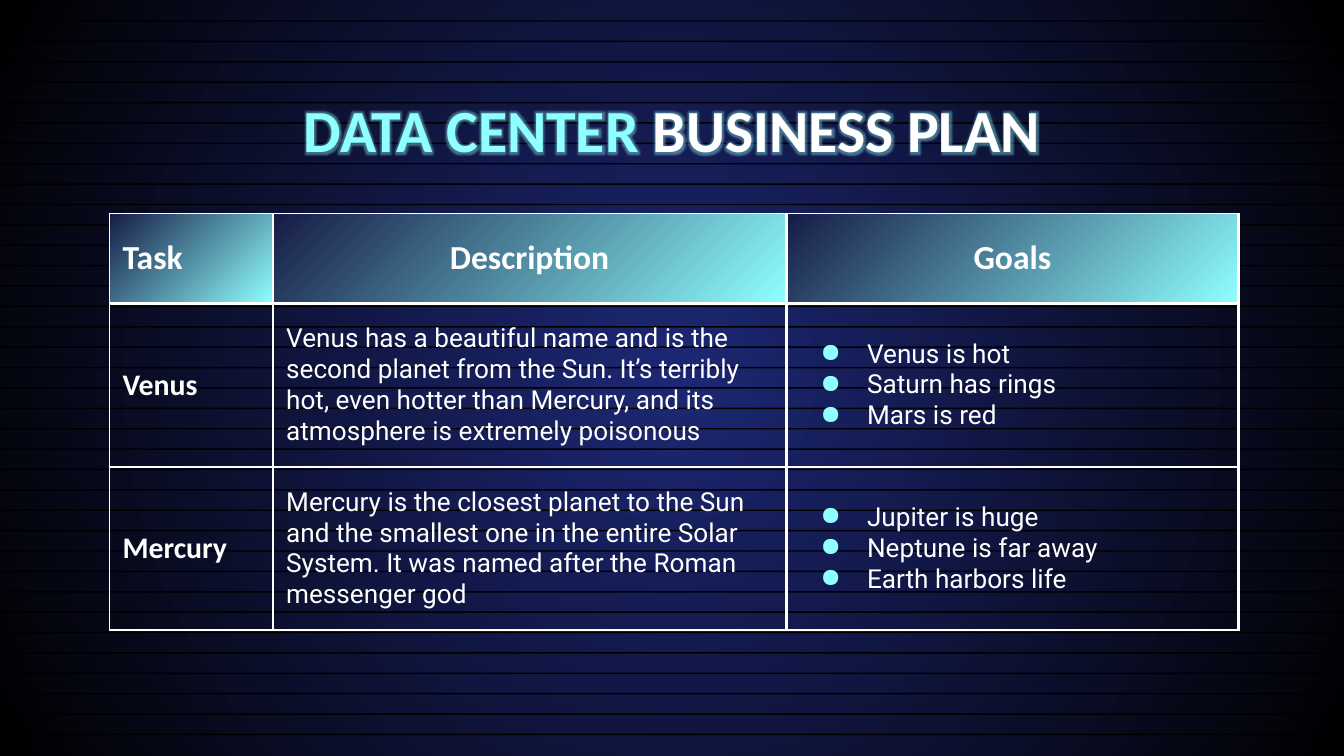
"""Build the data center business plan slide with its task table."""
import pptx
import pptx.dml.color
import pptx.enum.shapes
import pptx.enum.text
import pptx.oxml
import pptx.oxml.ns
import pptx.util

Pt = pptx.util.Pt
RGBColor = pptx.dml.color.RGBColor
qn = pptx.oxml.ns.qn
CENTER = pptx.enum.text.PP_ALIGN.CENTER

BLACK = RGBColor(0, 0, 0)
WHITE = RGBColor(0xFF, 0xFF, 0xFF)
CYAN = RGBColor(0x8F, 0xFF, 0xFF)
BLUE = RGBColor(0x1D, 0x28, 0x75)
NAVY = RGBColor(0x15, 0x1B, 0x46)
INSET = Pt(7.2)


def parse_drawing(tag, attributes, content=""):
    namespace = pptx.oxml.ns.nsdecls("a")
    return pptx.oxml.parse_xml(f"<a:{tag} {namespace} {attributes}>{content}</a:{tag}>")


def set_gradient(fill, start, end):
    fill.gradient()
    for stop, color in zip(fill.gradient_stops, (start, end)):
        stop.color.rgb = color


presentation = pptx.Presentation()
presentation.slide_width = Pt(720)
presentation.slide_height = Pt(405)
slide = presentation.slides.add_slide(presentation.slide_layouts[6])

set_gradient(slide.background.fill, BLUE, BLACK)
background_gradient = slide.element.find(".//" + qn("a:gradFill"))
background_gradient.replace(
    background_gradient.find(qn("a:lin")),
    parse_drawing("path", 'path="circle"', '<a:fillToRect l="50000" t="50000" r="50000" b="50000"/>'),
)

for number in range(1, 37):
    scan_line = slide.shapes.add_shape(
        pptx.enum.shapes.MSO_SHAPE.RECTANGLE, 0, Pt(10.92 * number), Pt(720), Pt(0.8))
    scan_line.shadow.inherit = False
    scan_line.fill.solid()
    scan_line.fill.fore_color.rgb = BLACK
    scan_line.line.fill.background()

title = slide.shapes.add_textbox(Pt(56), Pt(42.5), Pt(608), Pt(45)).text_frame
title.word_wrap = True
title.margin_left = title.margin_right = title.margin_top = title.margin_bottom = INSET
heading = title.paragraphs[0]
heading.alignment = CENTER
heading.font.name = "Calibri"
heading.font.size = Pt(32)
heading.font.bold = True
for words, color in (("DATA CENTER ", CYAN), ("BUSINESS PLAN", WHITE)):
    run = heading.add_run()
    run.text = words
    run.font.color.rgb = color
    glow = f'<a:glow rad="{Pt(5)}"><a:srgbClr val="{CYAN}"><a:alpha val="40000"/></a:srgbClr></a:glow>'
    run.font.fill._xPr.find(qn("a:solidFill")).addnext(parse_drawing("effectLst", "", glow))

plan = [
    [["Task"], ["Description"], ["Goals"]],
    [["Venus"],
     ["Venus has a beautiful name and is the second planet from the Sun. It’s terribly hot, "
      "even hotter than Mercury, and its atmosphere is extremely poisonous"],
     ["Venus is hot", "Saturn has rings", "Mars is red"]],
    [["Mercury"],
     ["Mercury is the closest planet to the Sun and the smallest one in the entire Solar System. "
      "It was named after the Roman messenger god"],
     ["Jupiter is huge", "Neptune is far away", "Earth harbors life"]],
]
table = slide.shapes.add_table(3, 3, Pt(58.5), Pt(114.3), Pt(605), Pt(223.4)).table
table.first_row = False
table.horz_banding = False
for column, width in zip(table.columns, (87.6, 275.2, 242.2)):
    column.width = Pt(width)
for row, height in zip(table.rows, (48.2, 87.6, 87.6)):
    row.height = Pt(height)

for row_index, entries in enumerate(plan):
    for column_index, lines in enumerate(entries):
        is_header = row_index == 0
        is_label = is_header or column_index == 0
        cell = table.cell(row_index, column_index)
        cell.vertical_anchor = pptx.enum.text.MSO_ANCHOR.MIDDLE
        cell.margin_left = cell.margin_right = cell.margin_top = cell.margin_bottom = INSET
        if is_header:
            set_gradient(cell.fill, NAVY, CYAN)
            cell.fill.gradient_angle = 315
        else:
            cell.fill.background()

        borders = {"lnL": 0.75 if column_index == 0 else 1.5, "lnR": 1.5,
                   "lnT": 0.75 if is_header else 1.5, "lnB": 1.5}
        for position, (side, weight) in enumerate(borders.items()):
            color_fill = f'<a:solidFill><a:srgbClr val="{WHITE}"/></a:solidFill>'
            cell._tc.tcPr.insert(position, parse_drawing(side, f'w="{Pt(weight)}"', color_fill))

        cell.text = "\n".join(lines)
        for paragraph in cell.text_frame.paragraphs:
            paragraph.font.name = "Calibri" if is_label else "Roboto"
            paragraph.font.size = Pt(18 if is_header else 16 if is_label else 14)
            paragraph.font.bold = is_label
            paragraph.font.color.rgb = WHITE
            if is_header and column_index > 0:
                paragraph.alignment = CENTER
            if not is_header and column_index == 2:
                properties = paragraph._p.get_or_add_pPr()
                properties.set("marL", str(Pt(36)))
                properties.set("indent", str(Pt(-25)))
                properties.insert(0, parse_drawing("buClr", "", f'<a:srgbClr val="{CYAN}"/>'))
                properties.insert(1, parse_drawing("buChar", 'char="●"'))

presentation.save("out.pptx")
